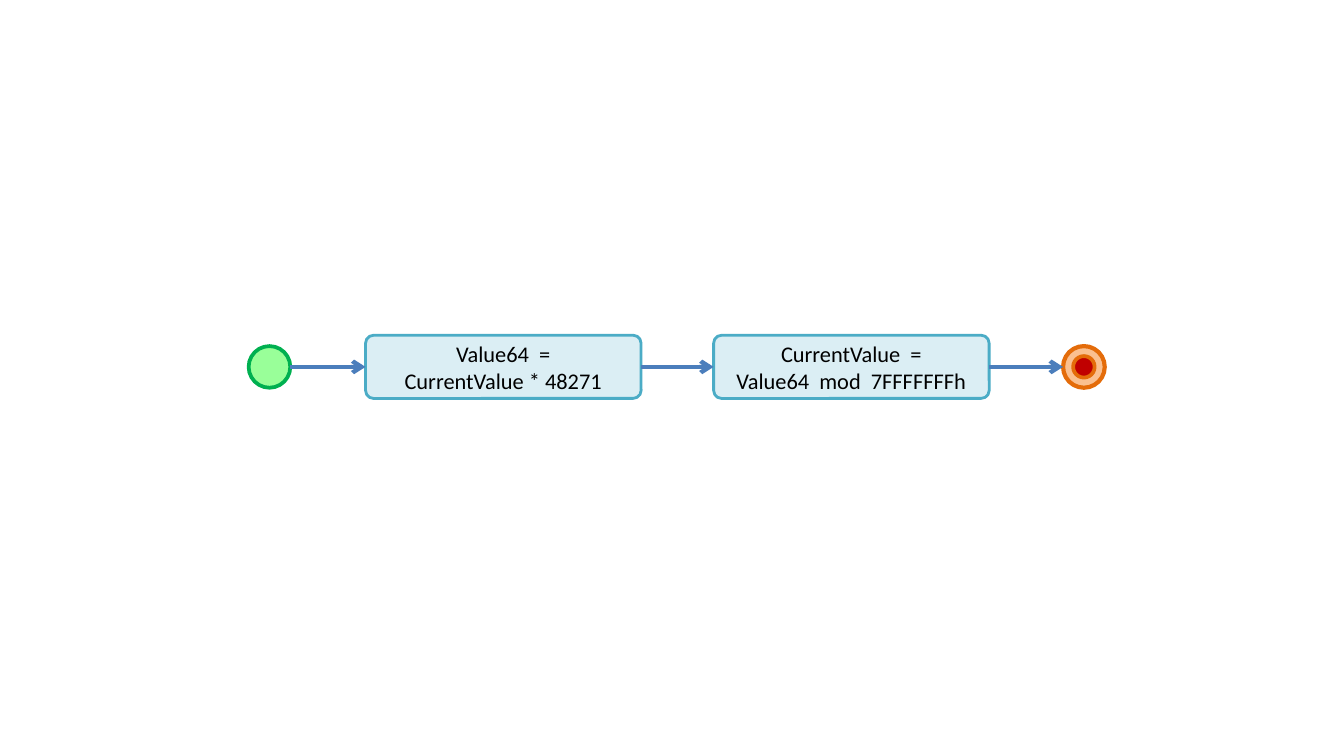
from lxml.etree import SubElement
from pptx import Presentation
from pptx.dml.color import RGBColor
from pptx.enum.shapes import MSO_CONNECTOR, MSO_SHAPE
from pptx.enum.text import MSO_ANCHOR, PP_ALIGN
from pptx.oxml.ns import qn
from pptx.util import Inches, Pt

COLORS = {
    "step_fill": "DBEEF4",
    "step_line": "4BACC6",
    "start_fill": "99FF99",
    "start_line": "00B050",
    "end_fill": "FAC090",
    "end_core": "C00000",
    "end_line": "E46C0A",
    "arrow": "4B7EBC",
    "text": "000000",
}
FONT = "Calibri"
SLIDE_W = 10
SLIDE_H = SLIDE_W * 9 / 16
MID_Y = 2.73
STEP_W, STEP_H = 2.05, 0.47
NODE_D, CORE_D = 0.31, 0.16
START_X, END_X = 1.85, 7.91
STEPS = [
    (2.72, ["Value64  =", "CurrentValue * 48271"]),
    (5.31, ["CurrentValue  =", "Value64  mod  7FFFFFFFh"]),
]


def rgb(name):
    return RGBColor.from_string(COLORS[name])


def add_box(shapes, kind, x, w, h, fill, line, weight):
    """Add a filled, outlined shape centred on the flow's axis."""
    sp = shapes.add_shape(kind, Inches(x), Inches(MID_Y - h / 2), Inches(w), Inches(h))
    sp.shadow.inherit = False
    sp.fill.solid()
    sp.fill.fore_color.rgb = rgb(fill)
    sp.line.color.rgb = rgb(line)
    sp.line.width = Pt(weight)
    return sp


def add_step(shapes, x, lines):
    sp = add_box(shapes, MSO_SHAPE.ROUNDED_RECTANGLE, x, STEP_W, STEP_H,
                 "step_fill", "step_line", 1.5)
    sp.adjustments[0] = 0.125
    tf = sp.text_frame
    tf.word_wrap = True
    tf.vertical_anchor = MSO_ANCHOR.MIDDLE
    for i, text in enumerate(lines):
        p = tf.add_paragraph() if i else tf.paragraphs[0]
        p.alignment = PP_ALIGN.CENTER
        r = p.add_run()
        r.text = text
        r.font.name = FONT
        r.font.size = Pt(12)
        r.font.color.rgb = rgb("text")
    return sp


def add_node(shapes, x, d, fill, line, weight):
    return add_box(shapes, MSO_SHAPE.FLOWCHART_CONNECTOR, x, d, d, fill, line, weight)


def add_end(shapes):
    group = shapes.add_group_shape()
    add_node(group.shapes, END_X, NODE_D, "end_fill", "end_line", 2.25)
    core_x = END_X + (NODE_D - CORE_D) / 2
    add_node(group.shapes, core_x, CORE_D, "end_core", "end_line", 2)
    return group


def add_arrow(shapes, source, target):
    y = Inches(MID_Y)
    cxn = shapes.add_connector(MSO_CONNECTOR.STRAIGHT,
                               source.left + source.width, y, target.left, y)
    cxn.line.color.rgb = rgb("arrow")
    cxn.line.width = Pt(2.25)
    sp_pr = cxn.element.spPr
    SubElement(sp_pr.find(qn("a:ln")), qn("a:tailEnd"), type="arrow")
    SubElement(sp_pr, qn("a:effectLst"))


def main():
    prs = Presentation()
    prs.slide_width, prs.slide_height = Inches(SLIDE_W), Inches(SLIDE_H)
    shapes = prs.slides.add_slide(prs.slide_layouts[6]).shapes

    steps = [add_step(shapes, x, lines) for x, lines in STEPS]
    end = add_end(shapes)
    start = add_node(shapes, START_X, NODE_D, "start_fill", "start_line", 2)

    flow = [start, *steps, end]
    for source, target in zip(flow, flow[1:]):
        add_arrow(shapes, source, target)

    prs.save("out.pptx")


if __name__ == "__main__":
    main()
